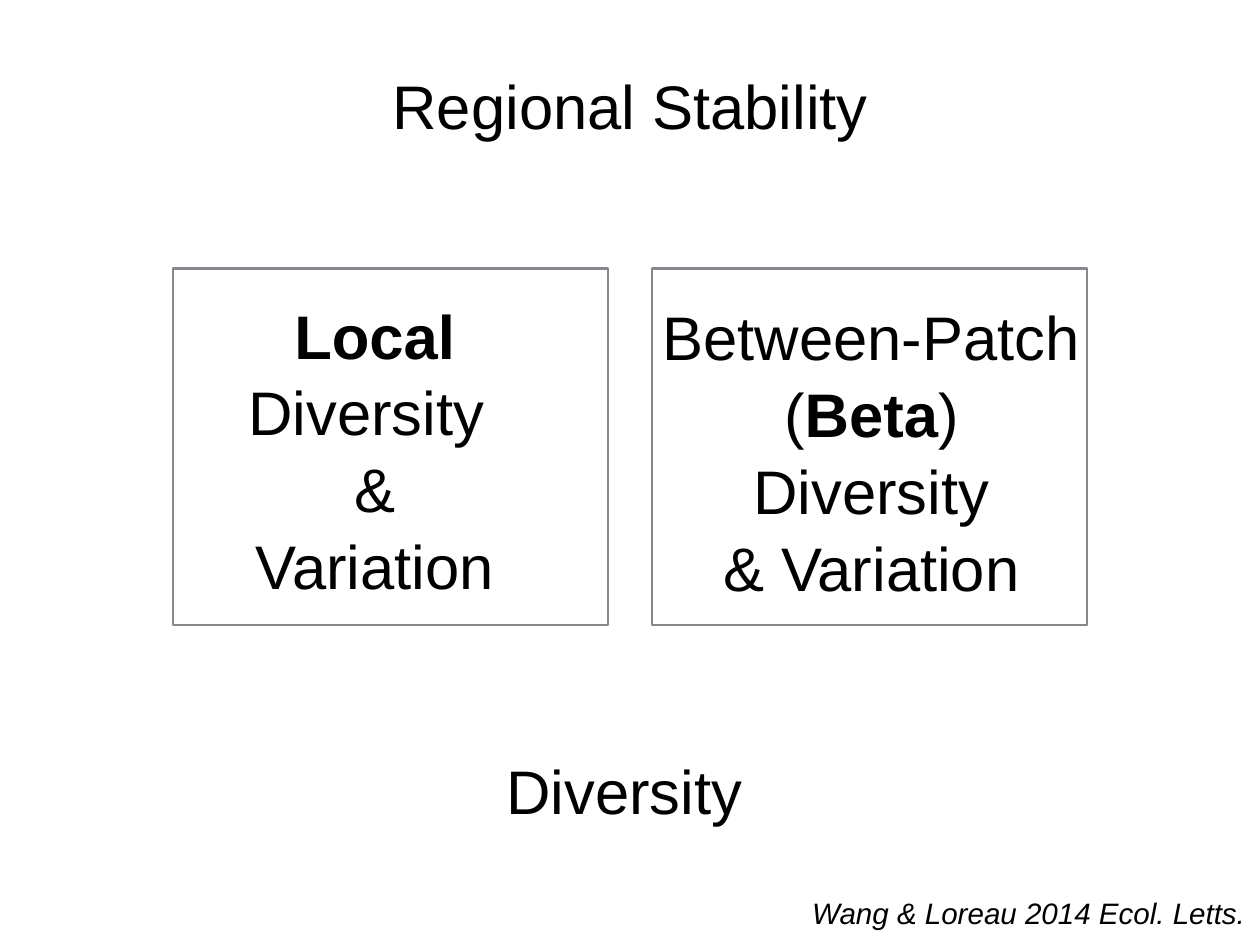
from pptx import Presentation
from pptx.dml.color import RGBColor
from pptx.enum.shapes import MSO_SHAPE
from pptx.enum.text import MSO_ANCHOR, MSO_AUTO_SIZE, PP_ALIGN
from pptx.util import Inches, Pt

BOX_TOP, BOX_WIDTH, BOX_HEIGHT = 3.03, 4.91, 4.03
BOX_LEFTS = (1.95, 7.36)


def color(hex_string):
    return RGBColor.from_string(hex_string)


def write_text(shape, text, size=50, italic=False, line_spacing=1.0):
    """Lines are split at newlines; words between asterisks are bold."""
    frame = shape.text_frame
    frame.word_wrap = False
    frame.auto_size = MSO_AUTO_SIZE.NONE
    frame.vertical_anchor = MSO_ANCHOR.MIDDLE
    frame.margin_left = frame.margin_right = Inches(0.06)
    frame.margin_top = frame.margin_bottom = Inches(0.06)
    paragraph = frame.paragraphs[0]
    paragraph.alignment = PP_ALIGN.CENTER
    paragraph.line_spacing = line_spacing
    paragraph.font.size = Pt(size)
    for line_number, line in enumerate(text.split("\n")):
        if line_number:
            paragraph.add_line_break()
        for part_number, part in enumerate(line.split("*")):
            if part:
                run = paragraph.add_run()
                run.text = part
                run.font.name = "Arial"
                run.font.size = Pt(size)
                run.font.bold = part_number % 2 == 1
                run.font.italic = italic
                run.font.color.rgb = color("000000")


def add_title(slide, text, left, top, width, height):
    title = slide.shapes.title
    title.left, title.top = Inches(left), Inches(top)
    title.width, title.height = Inches(width), Inches(height)
    write_text(title, text)


def add_label(slide, text, left, top, width, height, **text_format):
    label = slide.shapes.add_textbox(
        Inches(left), Inches(top), Inches(width), Inches(height))
    write_text(label, text, **text_format)


def add_frame(slide, left):
    frame = slide.shapes.add_shape(
        MSO_SHAPE.RECTANGLE, Inches(left), Inches(BOX_TOP),
        Inches(BOX_WIDTH), Inches(BOX_HEIGHT))
    frame.shadow.inherit = False
    frame.fill.background()
    frame.line.color.rgb = color("85888D")
    frame.line.width = Pt(2)


def main():
    presentation = Presentation()
    presentation.slide_width = Inches(14.22)
    presentation.slide_height = Inches(10.67)
    slide = presentation.slides.add_slide(presentation.slide_layouts[5])

    add_title(slide, "Regional Stability", 4.37, 0.72, 5.49, 0.94)
    for left in BOX_LEFTS:
        add_frame(slide, left)
    add_label(slide, "*Local*\nDiversity \n&\nVariation",
              2.51, 3.34, 3.44, 3.44, line_spacing=1.04)
    add_label(slide, "Between-Patch\n(*Beta*)\nDiversity\n& Variation",
              7.42, 3.36, 4.83, 3.44, line_spacing=1.04)
    add_label(slide, "Diversity", 5.65, 8.45, 2.79, 0.94)
    add_label(slide, "Wang & Loreau 2014 Ecol. Letts.",
              9.11, 10.05, 5, 0.51, size=24, italic=True)

    presentation.save("out.pptx")


if __name__ == "__main__":
    main()
